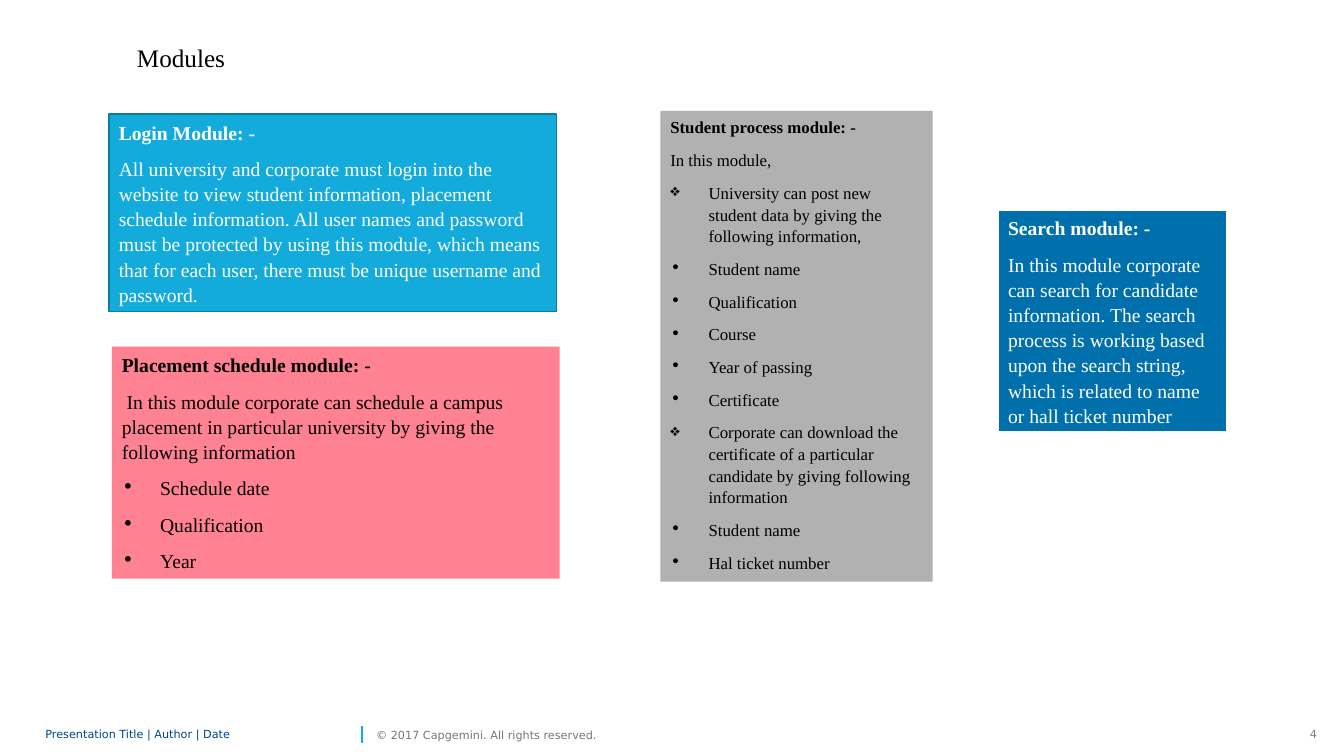
from dataclasses import dataclass

from lxml import etree
from pptx import Presentation
from pptx.dml.color import RGBColor
from pptx.enum.shapes import MSO_CONNECTOR, MSO_SHAPE
from pptx.enum.text import MSO_ANCHOR, PP_ALIGN
from pptx.oxml.ns import qn
from pptx.slide import Slide
from pptx.text.text import TextFrame
from pptx.util import Inches, Pt

RECT = MSO_SHAPE.RECTANGLE
STRAIGHT = MSO_CONNECTOR.STRAIGHT
TOP, MIDDLE = MSO_ANCHOR.TOP, MSO_ANCHOR.MIDDLE
LEFT, RIGHT = PP_ALIGN.LEFT, PP_ALIGN.RIGHT

BLACK = RGBColor(0x00, 0x00, 0x00)
WHITE = RGBColor(0xFF, 0xFF, 0xFF)
CYAN = RGBColor(0x12, 0xAB, 0xDB)
TEAL = RGBColor(0x0D, 0x7C, 0x9F)
GREY = RGBColor(0xB1, 0xB1, 0xB1)
PINK = RGBColor(0xFF, 0x82, 0x92)
BLUE = RGBColor(0x00, 0x70, 0xAD)
NAVY = RGBColor(0x00, 0x45, 0x8D)
ASH = RGBColor(0x76, 0x76, 0x76)
PALE = RGBColor(0x7F, 0x7F, 0x7F)

SERIF = "Times New Roman"
SANS = "DejaVu Sans"
STAR, DOT = "❖", "∙"
Area = tuple[float, float, float, float]


@dataclass
class Line:
    text: str
    mark: str = ""


@dataclass
class Card:
    area: Area
    fill: RGBColor
    ink: RGBColor
    size: float
    head: str
    body: list[Line]
    edge: RGBColor | None = None
    width: float = 1


@dataclass
class Label:
    area: Area
    text: str
    size: float
    font: str
    ink: RGBColor
    inset: bool = False
    align: PP_ALIGN = LEFT
    space: float = 1


CARDS = [
    Card((1.08, 1.13, 4.44, 1.96), CYAN, WHITE, 14, "Login Module: -", [
        Line("All university and corporate must login into the website to view "
             "student information, placement schedule information. All user names "
             "and password must be protected by using this module, which means "
             "that for each user, there must be unique username and password."),
    ], TEAL),
    Card((6.55, 1.1, 2.7, 4.67), GREY, BLACK, 12, "Student process module: -", [
        Line("In this module,"),
        Line("University can post new student data by giving the following "
             "information,", STAR),
        Line("Student name", DOT),
        Line("Qualification", DOT),
        Line("Course", DOT),
        Line("Year of passing", DOT),
        Line("Certificate", DOT),
        Line("Corporate can download the certificate of a particular candidate "
             "by giving following information", STAR),
        Line("Student name", DOT),
        Line("Hal ticket number", DOT),
    ]),
    Card((1.11, 3.44, 4.44, 2.3), PINK, BLACK, 14, "Placement schedule module: -", [
        Line(" In this module corporate can schedule a campus placement in "
             "particular university by giving the following information"),
        Line("Schedule date", DOT),
        Line("Qualification", DOT),
        Line("Year", DOT),
    ]),
    Card((9.9, 2.08, 2.27, 2.21), BLUE, WHITE, 14, "Search module: -", [
        Line("In this module corporate can search for candidate information. The "
             "search process is working based upon the search string, which is "
             "related to name or hall ticket number"),
    ], WHITE, 1.5),
]

LABELS = [
    Label((12.89, 7.17, 0.27, 0.24), "4", 8, SANS, PALE, True, RIGHT),
    Label((0.45, 7.17, 3.09, 0.24), "Presentation Title | Author | Date", 8, SANS,
          NAVY, space=0.85),
    Label((3.73, 7.17, 2.43, 0.24), "© 2017 Capgemini. All rights reserved.", 8,
          SANS, ASH),
    Label((1.26, 0.37, 6.27, 0.4), "Modules", 18, SERIF, BLACK, True),
]


def set_frame(frame: TextFrame, inset: bool, anchor: MSO_ANCHOR) -> None:
    frame.word_wrap = True
    frame.vertical_anchor = anchor
    frame.margin_left = frame.margin_right = Inches(0.1 if inset else 0)
    frame.margin_top = frame.margin_bottom = Inches(0.05 if inset else 0)


def add_line(frame: TextFrame, first: bool, text: str, size: float, font: str,
             ink: RGBColor, bold: bool = False, mark: str = "",
             space: float = 1.07, align: PP_ALIGN = LEFT) -> None:
    para = frame.paragraphs[0] if first else frame.add_paragraph()
    para.alignment = align
    para.line_spacing = space
    if not first:
        para.space_before = Pt(8)
    if mark:
        props = para._p.get_or_add_pPr()
        props.set("marL", str(Inches(0.38)))
        props.set("indent", str(Inches(-0.38)))
        tint = etree.SubElement(props, qn("a:buClr"))
        etree.SubElement(tint, qn("a:srgbClr"), val=str(ink))
        etree.SubElement(props, qn("a:buChar"), char=mark)
    run = para.add_run()
    run.text = text
    run.font.size, run.font.name, run.font.bold = Pt(size), font, bold
    run.font.color.rgb = ink


def add_label(slide: Slide, label: Label) -> None:
    box = slide.shapes.add_textbox(*map(Inches, label.area))
    set_frame(box.text_frame, label.inset, TOP if label.inset else MIDDLE)
    add_line(box.text_frame, True, label.text, label.size, label.font, label.ink,
             space=label.space, align=label.align)


def add_card(slide: Slide, card: Card) -> None:
    box = slide.shapes.add_shape(RECT, *map(Inches, card.area))
    box.shadow.inherit = False
    box.fill.solid()
    box.fill.fore_color.rgb = card.fill
    if card.edge is None:
        box.line.fill.background()
    else:
        box.line.color.rgb = card.edge
        box.line.width = Pt(card.width)
    frame = box.text_frame
    set_frame(frame, True, TOP)
    add_line(frame, True, card.head, card.size, SERIF, card.ink, bold=True)
    for line in card.body:
        add_line(frame, False, line.text, card.size, SERIF, card.ink, mark=line.mark)


def add_rule(slide: Slide) -> None:
    rule = slide.shapes.add_connector(
        STRAIGHT, *map(Inches, (3.59, 7.37, 3.59, 7.2)))
    rule.line.color.rgb = CYAN
    rule.line.width = Pt(1)
    etree.SubElement(rule._element.spPr, qn("a:effectLst"))


def main() -> None:
    deck = Presentation()
    deck.slide_width, deck.slide_height = Inches(13.33), Inches(7.5)
    slide = deck.slides.add_slide(deck.slide_layouts[6])

    # Footer and title
    add_rule(slide)
    for label in LABELS:
        add_label(slide, label)

    # Module cards
    for card in CARDS:
        add_card(slide, card)

    deck.save("out.pptx")


if __name__ == "__main__":
    main()
